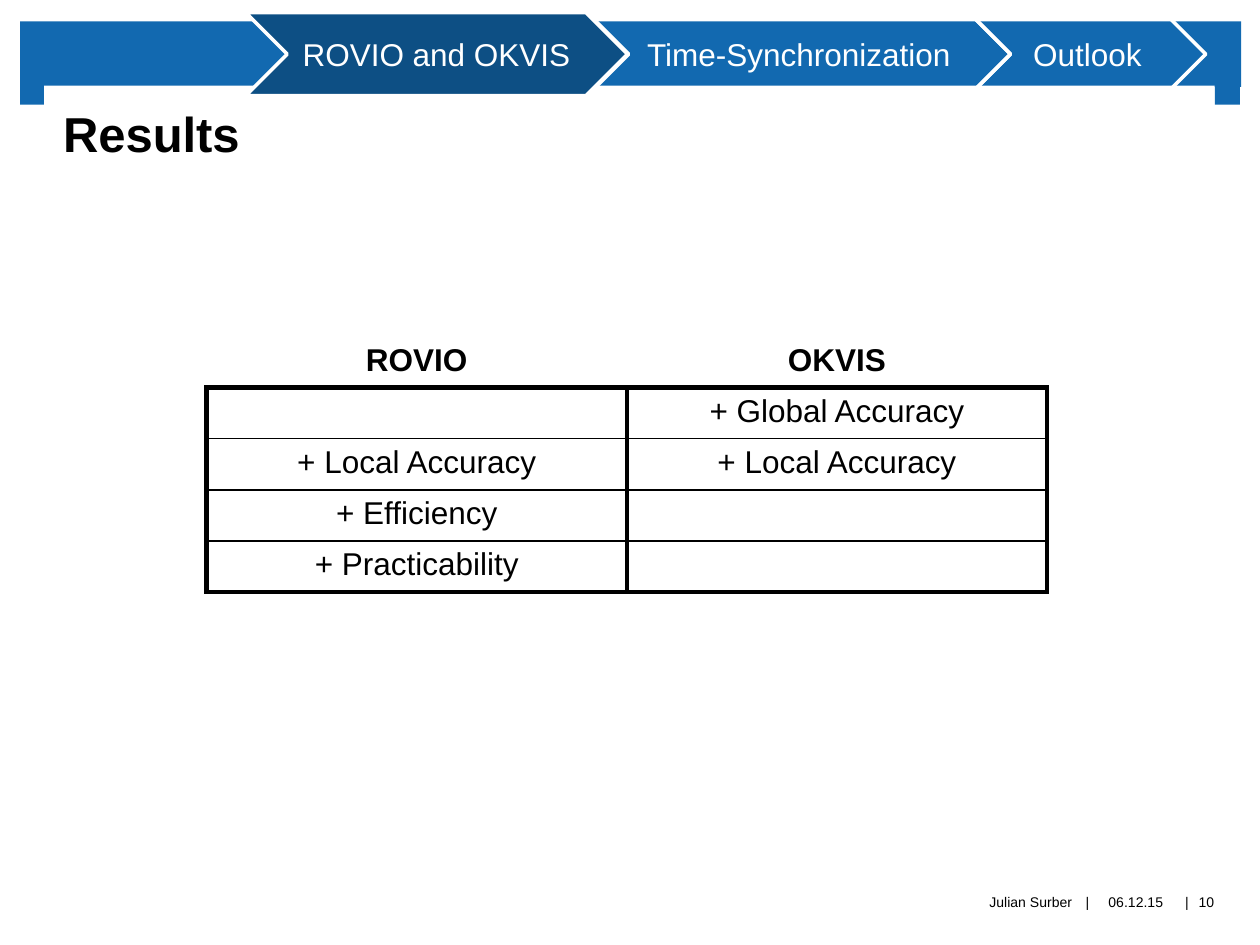
from lxml.etree import SubElement
from pptx import Presentation
from pptx.dml.color import RGBColor
from pptx.enum.shapes import MSO_SHAPE as Preset
from pptx.enum.text import MSO_ANCHOR as Anchor, PP_ALIGN as Align
from pptx.oxml.ns import qn
from pptx.util import Inches, Pt

BLUE = RGBColor(0x12, 0x69, 0xB0)
DARK_BLUE = RGBColor(0x0D, 0x4F, 0x84)
WHITE = RGBColor(0xFF, 0xFF, 0xFF)
BLACK = RGBColor(0, 0, 0)

BANNER = [(0.16, 0.17, 9.69, 0.52), (0.16, 0.65, 0.2, 0.18), (9.64, 0.65, 0.2, 0.18)]
SECTIONS = [
    ("Outlook", 7.69, 1.88, None),
    ("Time-Synchronization", 4.66, 3.36, None),
    ("ROVIO and OKVIS", 1.95, 3.03, DARK_BLUE),
]
FOOTER = [
    ("|", 9.36, 0.12, Align.CENTER),
    ("|", 8.57, 0.12, Align.CENTER),
    ("06.12.15", 8.68, 0.67, Align.CENTER),
    ("Julian Surber", 5, 3.51, Align.RIGHT),
    ("10", 9.43, 0.29, Align.CENTER),
]
RESULTS = [
    ("ROVIO", "OKVIS"),
    ("", "+ Global Accuracy"),
    ("+ Local Accuracy", "+ Local Accuracy"),
    ("+ Efficiency", ""),
    ("+ Practicability", ""),
]


def write(frame, text, size, color, align, bold=False):
    """Put one formatted paragraph into a text frame."""
    line = frame.paragraphs[0]
    line.text = text
    line.alignment = align
    font = line.font
    font.name, font.size, font.bold = "Arial", Pt(size), bold
    font.color.rgb = color


def add_block(slide, preset, box, fill):
    """Add a preset shape without outline or shadow."""
    block = slide.shapes.add_shape(preset, *map(Inches, box))
    block.shadow.inherit = False
    block.line.fill.background()
    if fill is None:
        block.fill.background()
    else:
        block.fill.solid()
        block.fill.fore_color.rgb = fill
    return block


def add_section(slide, name, left, width, fill):
    """Add one chevron of the navigation banner."""
    chevron = add_block(slide, Preset.CHEVRON, (left, 0.1, width, 0.66), fill)
    chevron.line.color.rgb = WHITE
    chevron.line.width = Pt(2)
    chevron.text_frame.vertical_anchor = Anchor.MIDDLE
    write(chevron.text_frame, name, 18, WHITE, Align.CENTER)


def add_label(slide, text, box, size, align, anchor, insets=(0, 0, 0, 0), bold=False):
    """Add a wrapping text box with the given left, top, right and bottom insets."""
    label = slide.shapes.add_textbox(*map(Inches, box))
    frame = label.text_frame
    frame.word_wrap = True
    frame.vertical_anchor = anchor
    (frame.margin_left, frame.margin_top,
     frame.margin_right, frame.margin_bottom) = map(Inches, insets)
    write(frame, text, size, BLACK, align, bold)
    return label


def add_border(cell, side, color, width):
    """Draw one edge of a table cell."""
    edge = SubElement(cell._tc.get_or_add_tcPr(), qn(f"a:ln{side}"), w=str(Pt(width)))
    SubElement(SubElement(edge, qn("a:solidFill")), qn("a:srgbClr"), val=str(color))


def style_cell(cell, row, last):
    """Give a cell the borders and fill of its row."""
    thick, thin, blank = (BLACK, 3), (BLACK, 1), (WHITE, 1)
    side = thick if row else blank
    top = blank if row == 0 else thick if row == 1 else thin
    bottom = thick if row in (0, last) else thin
    for name, border in zip("LRTB", (side, side, top, bottom)):
        add_border(cell, name, *border)
    if row:
        cell.fill.solid()
        cell.fill.fore_color.rgb = WHITE
    else:
        cell.fill.background()


def add_results(slide):
    """Add the table comparing the two methods."""
    box = map(Inches, (1.64, 2.67, 6.67, 2.03))
    table = slide.shapes.add_table(len(RESULTS), 2, *box).table
    table.first_row = table.horz_banding = False
    for row, values in enumerate(RESULTS):
        for column, value in enumerate(values):
            cell = table.cell(row, column)
            style_cell(cell, row, len(RESULTS) - 1)
            write(cell.text_frame, value, 18, BLACK, Align.CENTER, row == 0)


def main():
    """Build the results slide."""
    deck = Presentation()
    deck.slide_width, deck.slide_height = Inches(10), Inches(7.5)
    slide = deck.slides.add_slide(deck.slide_layouts[6])
    for box in BANNER:
        add_block(slide, Preset.RECTANGLE, box, BLUE)
    for text, left, width, align in FOOTER:
        add_label(slide, text, (left, 6.9, width, 0.51), 8, align, Anchor.MIDDLE)
    title = add_label(slide, "Results", (0.35, 0.68, 9.29, 1.06), 28, Align.LEFT,
                      Anchor.BOTTOM, (0.15, 0, 0.16, 0.45), True)
    title.fill.solid()
    title.fill.fore_color.rgb = WHITE
    for section in SECTIONS:
        add_section(slide, *section)
    add_results(slide)
    deck.save("out.pptx")


if __name__ == "__main__":
    main()
